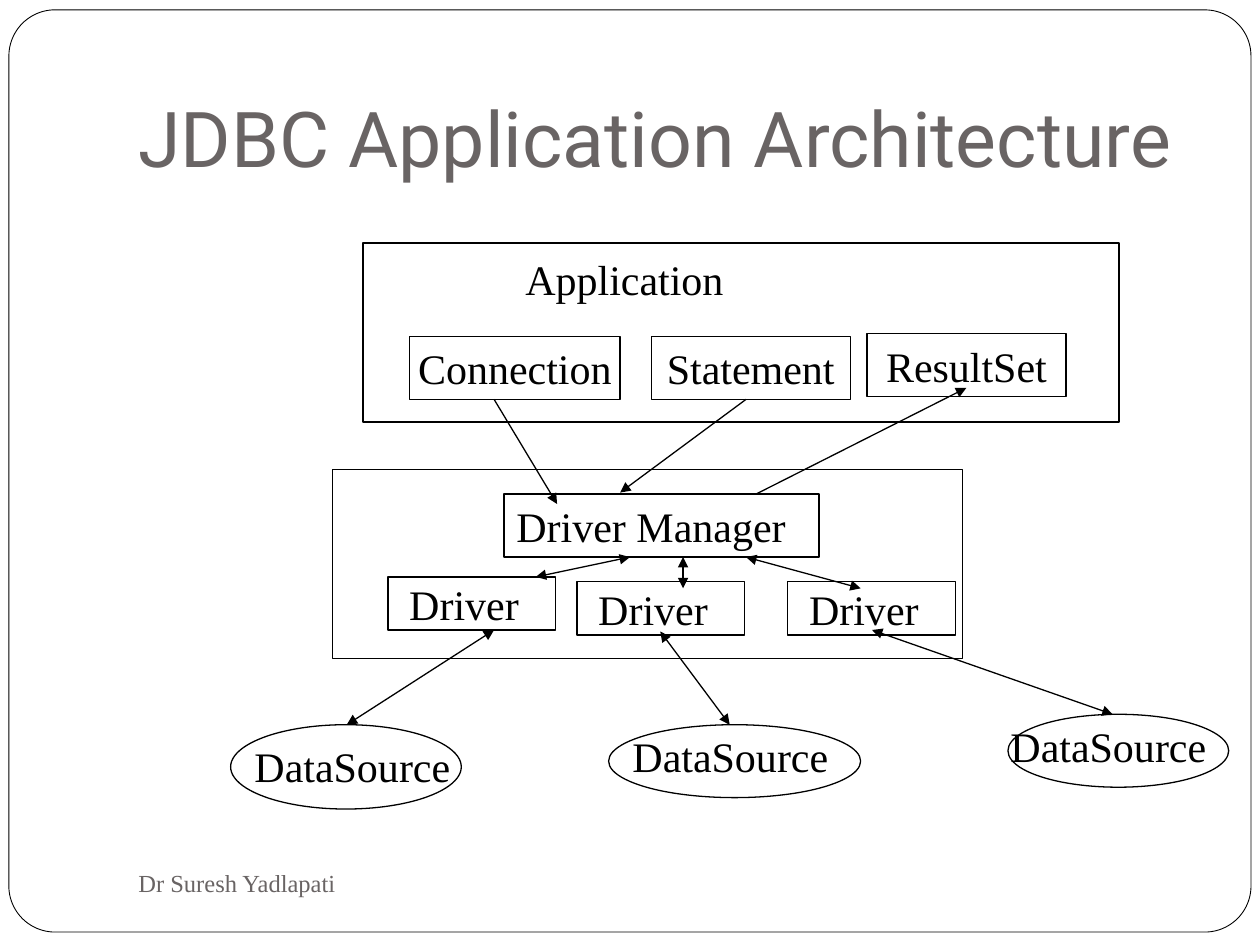
from pptx import Presentation
from pptx.dml.color import RGBColor
from pptx.enum import shapes as s, text as t
from pptx.oxml.ns import qn
from pptx.util import Cm, Pt
from lxml import etree

deck = Presentation()
deck.slide_width, deck.slide_height = Cm(25.4), Cm(19.05)
slide = deck.slides.add_slide(deck.slide_layouts[6])
kind = s.MSO_SHAPE
mid = t.MSO_ANCHOR.MIDDLE


def ink(code):
    return RGBColor.from_string(code)


def write(box, words, size=24, font="Times New Roman", color="000000", wrap=False):
    frame = box.text_frame
    frame.text = words
    frame.word_wrap = wrap
    face = frame.paragraphs[0].runs[0].font
    face.size, face.name = Pt(size), font
    face.color.rgb = ink(color)
    return frame


boxes = [
    (kind.ROUNDED_RECTANGLE, 0.18, 0.2, 25.04, 18.59, ""),
    (kind.RECTANGLE, 7.32, 4.9, 15.24, 3.61, ""),
    (kind.RECTANGLE, 8.26, 6.78, 4.24, 1.27, "Connection"),
    (kind.RECTANGLE, 13.13, 6.78, 4.01, 1.27, "Statement"),
    (kind.RECTANGLE, 17.48, 6.73, 4.01, 1.27, "ResultSet"),
    (kind.RECTANGLE, 6.71, 9.47, 12.7, 3.81, ""),
    (kind.RECTANGLE, 10.16, 9.96, 6.35, 1.27, ""),
    (kind.OVAL, 4.65, 14.61, 4.65, 1.7, ""),
    (kind.OVAL, 12.27, 14.61, 5.08, 1.47, ""),
    (kind.OVAL, 20.32, 14.4, 4.45, 1.47, ""),
]
labels = [
    ("Application", 10.34, 4.98, 4.5),
    ("Driver Manager", 10.16, 9.96, 5.94),
    ("DataSource", 4.88, 14.81, 4.62),
    ("DataSource", 12.5, 14.61, 4.62),
    ("DataSource", 20.12, 14.4, 4.62),
]
for x, y in [(7.82, 11.63), (11.63, 11.73), (15.88, 11.73)]:
    boxes.append((kind.RECTANGLE, x, y, 3.38, 1.07, ""))
    labels.append(("Driver", x + 0.18, y - 0.09, 2.72))

for form, x, y, w, h, words in boxes:
    box = slide.shapes.add_shape(form, Cm(x), Cm(y), Cm(w), Cm(h))
    box.shadow.inherit = False
    box.fill.background()
    box.line.color.rgb = ink("000000")
    box.line.width = Pt(0.75)
    if form == kind.ROUNDED_RECTANGLE:
        box.adjustments[0] = 0.05
        box.line.width = Pt(0.5)
        box.fill.solid()
        box.fill.fore_color.rgb = ink("FFFFFF")
    if words:
        frame = write(box, words)
        frame.vertical_anchor = mid
        frame.paragraphs[0].alignment = t.PP_ALIGN.CENTER

for words, x, y, w in labels:
    box = slide.shapes.add_textbox(Cm(x), Cm(y), Cm(w), Cm(1.27))
    write(box, words, wrap=words == "DataSource")

one, both = ["tailEnd"], ["headEnd", "tailEnd"]
arrows = [
    (9.96, 8.05, 11.23, 10.16, one),
    (15.04, 8.05, 12.5, 9.93, one),
    (15.24, 9.96, 19.48, 7.82, one),
    (12.7, 11.23, 10.8, 11.63, both),
    (13.77, 11.23, 13.77, 11.86, both),
    (15.04, 11.23, 17.35, 11.86, both),
    (9.96, 12.7, 6.99, 14.61, both),
    (13.31, 12.73, 14.71, 14.61, both),
    (17.58, 12.7, 22.43, 14.4, both),
]
for x, y, right, low, ends in arrows:
    line = slide.shapes.add_connector(
        s.MSO_CONNECTOR.STRAIGHT, Cm(x), Cm(y), Cm(right), Cm(low))
    line.line.color.rgb = ink("000000")
    line.line.width = Pt(0.75)
    for end in ends:
        etree.SubElement(line.line._get_or_add_ln(), qn("a:" + end), type="triangle")
    etree.SubElement(line._element.spPr, qn("a:effectLst"))

title = slide.shapes.add_textbox(Cm(2.54), Cm(0.76), Cm(21.59), Cm(3.18))
frame = write(title, "JDBC Application Architecture", 44, "Roboto", "696464", True)
frame.vertical_anchor = t.MSO_ANCHOR.BOTTOM
frame.margin_bottom = Cm(0.25)

foot = slide.shapes.add_textbox(Cm(2.54), Cm(17.15), Cm(11), Cm(1.27))
frame = write(foot, "Dr Suresh Yadlapati", 14, color="696464", wrap=True)
frame.vertical_anchor = mid

deck.save("out.pptx")
